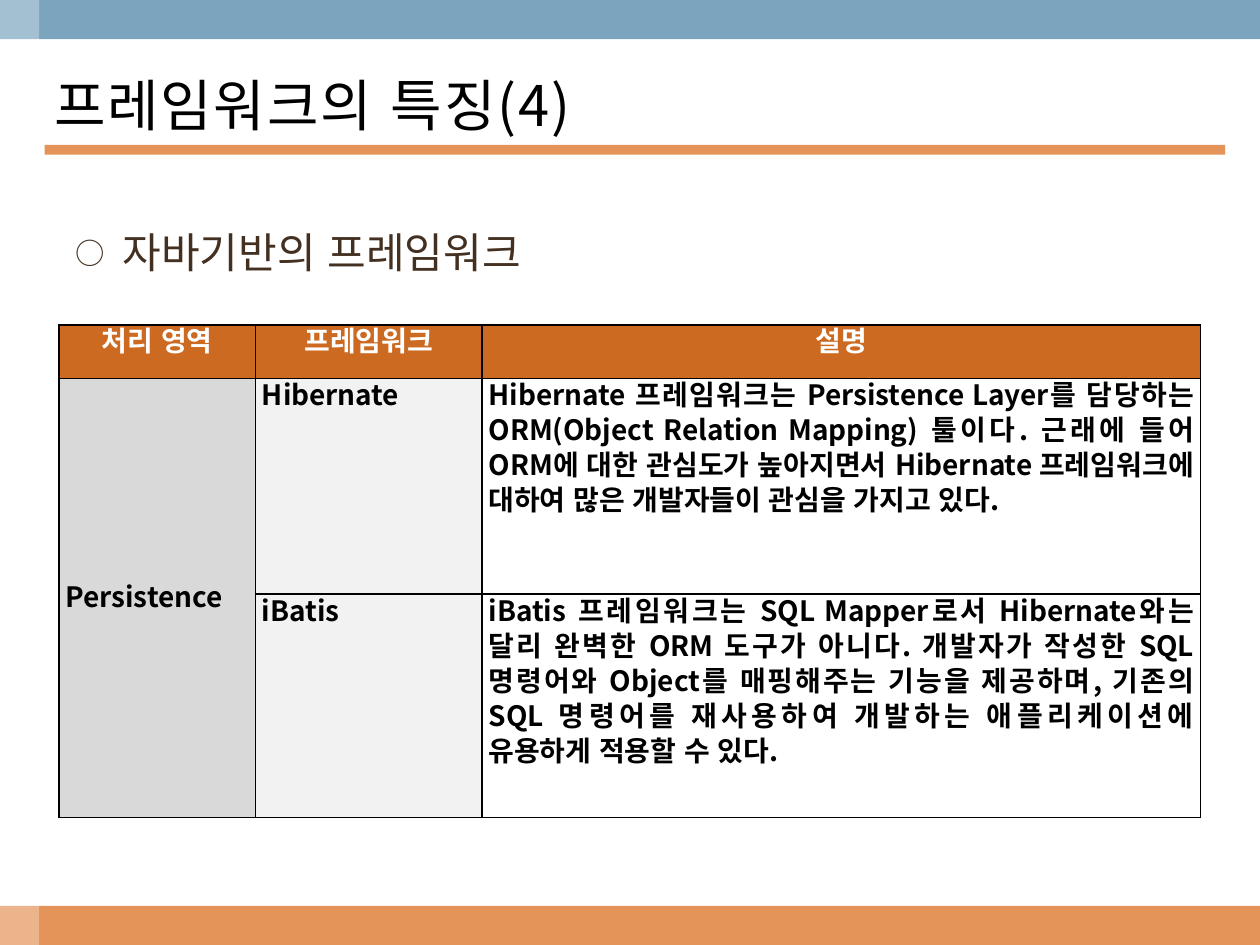
from lxml.etree import SubElement
from pptx import Presentation
from pptx.dml.color import RGBColor
from pptx.enum.shapes import MSO_SHAPE as Shape
from pptx.enum.text import MSO_ANCHOR as Anchor, PP_ALIGN as Align
from pptx.oxml.ns import qn
from pptx.util import Cm, Pt

FONT = "Noto Sans CJK KR"
COLORS = {
    "black": "000000", "white": "FFFFFF", "brown": "433021",
    "blue": "7BA5BE", "orange": "E49458", "header": "CC6A21",
    "area": "D9D9D9", "framework": "F2F2F2",
}
COLUMN_WIDTHS = (3.96, 4.57, 14.48)
ROW_HEIGHTS = (1.08, 4.35, 4.5)
HEADERS = ("처리 영역", "프레임워크", "설명")
ROWS = (
    ("Persistence", "Hibernate",
     "Hibernate 프레임워크는 Persistence Layer를 담당하는 ORM(Object Relation Mapping) 툴이다. "
     "근래에 들어 ORM에 대한 관심도가 높아지면서 Hibernate 프레임워크에 대하여 "
     "많은 개발자들이 관심을 가지고 있다."),
    ("", "iBatis",
     "iBatis 프레임워크는 SQL Mapper로서 Hibernate와는 달리 완벽한 ORM 도구가 아니다. "
     "개발자가 작성한 SQL 명령어와 Object를 매핑해주는 기능을 제공하며, "
     "기존의 SQL 명령어를 재사용하여 개발하는 애플리케이션에 유용하게 적용할 수 있다."),
)


def rgb(name):
    return RGBColor.from_string(COLORS[name])


def write_text(frame, text, *, size, color, bold=False, align=Align.LEFT,
               line_spacing=None, letter_spacing=None):
    paragraph = frame.paragraphs[0]
    paragraph.alignment = align
    if line_spacing:
        paragraph.line_spacing = Pt(line_spacing)
    run = paragraph.add_run()
    run.text = text
    font = run.font
    font.size, font.bold, font.name = Pt(size), bold, FONT
    font.color.rgb = rgb(color)
    properties = run._r.get_or_add_rPr()
    properties.set("lang", "ko-KR")
    if letter_spacing:
        properties.set("spc", str(letter_spacing * 100))
    SubElement(properties, qn("a:ea"), typeface=FONT)
    return paragraph


def add_bar(slide, left, top, width, height, color, opacity=None):
    bar = slide.shapes.add_shape(Shape.RECTANGLE, Cm(left), Cm(top), Cm(width), Cm(height))
    bar.shadow.inherit = False
    bar.fill.solid()
    bar.fill.fore_color.rgb = rgb(color)
    bar.line.fill.background()
    if opacity:
        fill_color = bar._element.spPr.find(qn("a:solidFill"))[0]
        SubElement(fill_color, qn("a:alpha"), val=str(opacity * 1000))


def add_text_box(slide, left, top, width, height, text, anchor=Anchor.TOP, **text_format):
    box = slide.shapes.add_textbox(Cm(left), Cm(top), Cm(width), Cm(height))
    box.text_frame.word_wrap = True
    box.text_frame.vertical_anchor = anchor
    return write_text(box.text_frame, text, **text_format)


def add_bullet(paragraph, character, indent, size):
    properties = paragraph._p.get_or_add_pPr()
    properties.set("marL", str(Cm(indent)))
    properties.set("indent", str(-Cm(indent)))
    SubElement(properties, qn("a:buSzPct"), val=str(size * 1000))
    SubElement(properties, qn("a:buFont"), typeface=FONT)
    SubElement(properties, qn("a:buChar"), char=character)


def add_borders(cell, width=1):
    properties = cell._tc.get_or_add_tcPr()
    for side in ("lnL", "lnR", "lnT", "lnB"):
        line = SubElement(properties, qn(f"a:{side}"), w=str(Pt(width)))
        fill = SubElement(line, qn("a:solidFill"))
        SubElement(fill, qn("a:srgbClr"), val=COLORS["black"])


def format_cell(cell, text, fill, **text_format):
    cell.margin_left = cell.margin_right = Cm(0.13)
    cell.margin_top = cell.margin_bottom = 0
    add_borders(cell)
    cell.fill.solid()
    cell.fill.fore_color.rgb = rgb(fill)
    if text:
        write_text(cell.text_frame, text, size=16, bold=True, line_spacing=20, **text_format)


def add_framework_table(slide, left, top):
    table = slide.shapes.add_table(
        len(ROW_HEIGHTS), len(COLUMN_WIDTHS), Cm(left), Cm(top),
        Cm(sum(COLUMN_WIDTHS)), Cm(sum(ROW_HEIGHTS))).table
    for column, width in zip(table.columns, COLUMN_WIDTHS):
        column.width = Cm(width)
    for row, height in zip(table.rows, ROW_HEIGHTS):
        row.height = Cm(height)

    for index, text in enumerate(HEADERS):
        format_cell(table.cell(0, index), text, "header", color="white", align=Align.CENTER)
    for row_index, row in enumerate(ROWS, start=1):
        for index, (text, fill) in enumerate(zip(row, ("area", "framework", "white"))):
            format_cell(table.cell(row_index, index), text, fill,
                        color="black", align=Align.JUSTIFY)

    # One processing area covers both frameworks
    area = table.cell(1, 0)
    area.merge(table.cell(2, 0))
    area.vertical_anchor = Anchor.MIDDLE


def main():
    presentation = Presentation()
    presentation.slide_width, presentation.slide_height = Cm(25.4), Cm(19.05)
    slide = presentation.slides.add_slide(presentation.slide_layouts[6])

    # Bands, translucent left strip and title rule
    add_bar(slide, 0, 18.26, 25.4, 0.79, "orange")
    add_bar(slide, 0, 0, 25.4, 0.79, "blue")
    add_bar(slide, 0, 0, 0.79, 19.05, "white", opacity=30)
    add_bar(slide, 0.9, 2.92, 23.8, 0.2, "orange")

    # Topic and title
    topic = add_text_box(slide, 1.27, 4.45, 22.86, 12.57, "자바기반의 프레임워크",
                         size=24, color="brown")
    add_bullet(topic, "○", indent=0.95, size=70)
    add_text_box(slide, 0.84, 0.79, 23.77, 2.62, "프레임워크의 특징(4)",
                 anchor=Anchor.MIDDLE, size=32, color="black", letter_spacing=1)

    # Framework comparison
    add_framework_table(slide, 1.19, 6.55)

    presentation.save("out.pptx")


if __name__ == "__main__":
    main()
